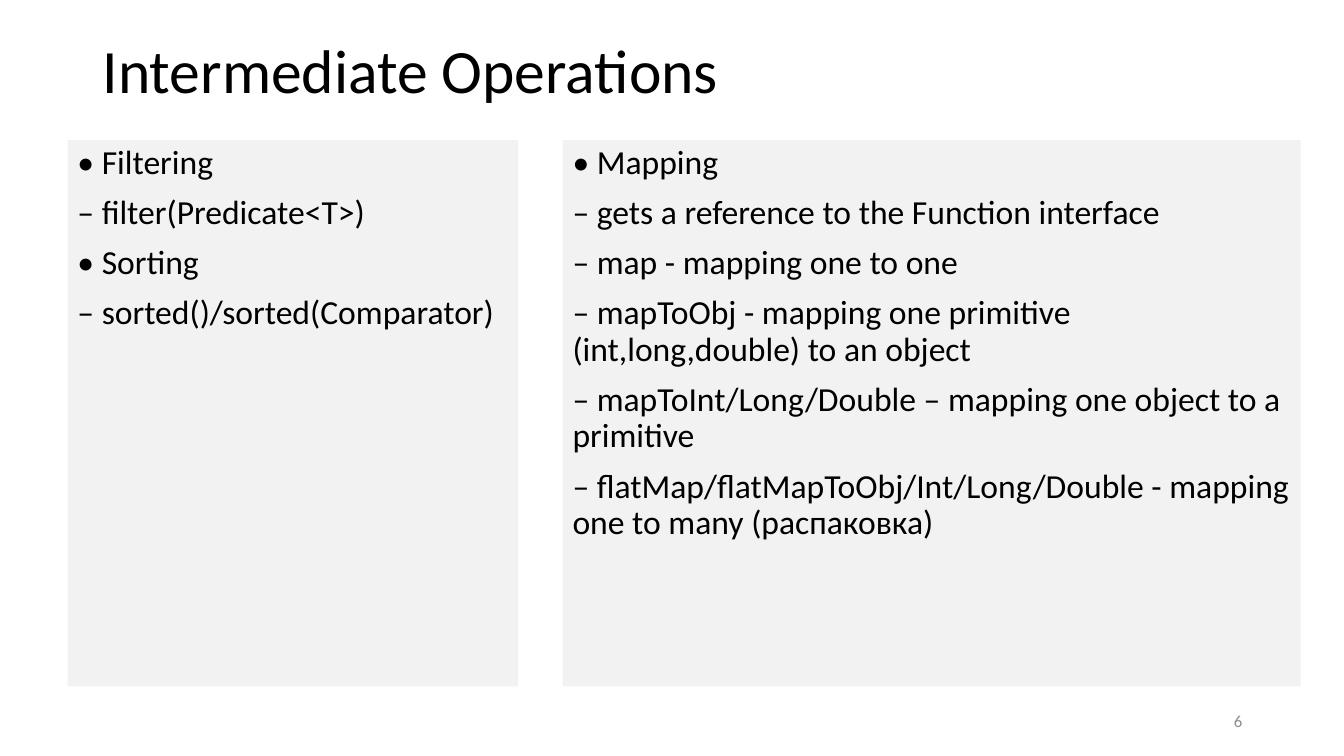
from lxml import etree
from pptx import Presentation
from pptx.dml.color import RGBColor
from pptx.enum.shapes import MSO_SHAPE
from pptx.enum.text import MSO_ANCHOR, PP_ALIGN
from pptx.oxml.ns import qn
from pptx.util import Inches, Pt

RECT = MSO_SHAPE.RECTANGLE
TOP, MIDDLE = MSO_ANCHOR.TOP, MSO_ANCHOR.MIDDLE
LEFT, RIGHT = PP_ALIGN.LEFT, PP_ALIGN.RIGHT

FONT = "Calibri"
BLACK, GRAY, PANEL = "000000", "8C8C8C", "E7E6E6"
PANEL_TOP, PANEL_HEIGHT = 1.39, 5.42

FILTERING_SORTING = [
    "• Filtering",
    "– filter(Predicate<T>)",
    "• Sorting",
    "– sorted()/sorted(Comparator)",
]
MAPPING = [
    "• Mapping",
    "– gets a reference to the Function interface",
    "– map - mapping one to one",
    "– mapToObj - mapping one primitive (int,long,double) to an object",
    "– mapToInt/Long/Double – mapping one object to a primitive",
    "– flatMap/flatMapToObj/Int/Long/Double - mapping one to many (распаковка)",
]


def rgb(color):
    return RGBColor.from_string(color)


def write(tf, lines, size, color=BLACK, anchor=MIDDLE, align=LEFT,
          spacing=1.0, before=0):
    tf.word_wrap = True
    tf.vertical_anchor = anchor
    for i, line in enumerate(lines):
        p = tf.paragraphs[0] if i == 0 else tf.add_paragraph()
        p.text = line
        p.alignment = align
        p.line_spacing = spacing
        p.space_before = Pt(before)
        p.font.name = FONT
        p.font.size = Pt(size)
        p.font.color.rgb = rgb(color)


def add_text(s, left, top, width, height, text, size, **style):
    box = s.shapes.add_textbox(Inches(left), Inches(top),
                               Inches(width), Inches(height))
    write(box.text_frame, [text], size, **style)


def add_panel(s, left, width, lines):
    """Add a half-transparent rectangle holding a list of operations."""
    sp = s.shapes.add_shape(RECT, Inches(left), Inches(PANEL_TOP),
                            Inches(width), Inches(PANEL_HEIGHT))
    sp.shadow.inherit = False
    sp.line.fill.background()
    sp.fill.solid()
    sp.fill.fore_color.rgb = rgb(PANEL)
    fill_color = sp.element.spPr.find(qn("a:solidFill"))[0]
    etree.SubElement(fill_color, qn("a:alpha")).set("val", "50000")
    write(sp.text_frame, lines, 24, anchor=TOP, spacing=0.9, before=10)


def main():
    prs = Presentation()
    prs.slide_width, prs.slide_height = Inches(13.33), Inches(7.5)
    s = prs.slides.add_slide(prs.slide_layouts[6])
    add_text(s, 0.92, 0, 11.5, 1.45, "Intermediate Operations", 44, spacing=0.9)
    add_panel(s, 0.67, 4.47, FILTERING_SORTING)
    add_panel(s, 5.58, 7.32, MAPPING)
    add_text(s, 9.42, 6.95, 3, 0.4, "6", 12, color=GRAY, align=RIGHT)
    prs.save("out.pptx")


if __name__ == "__main__":
    main()
